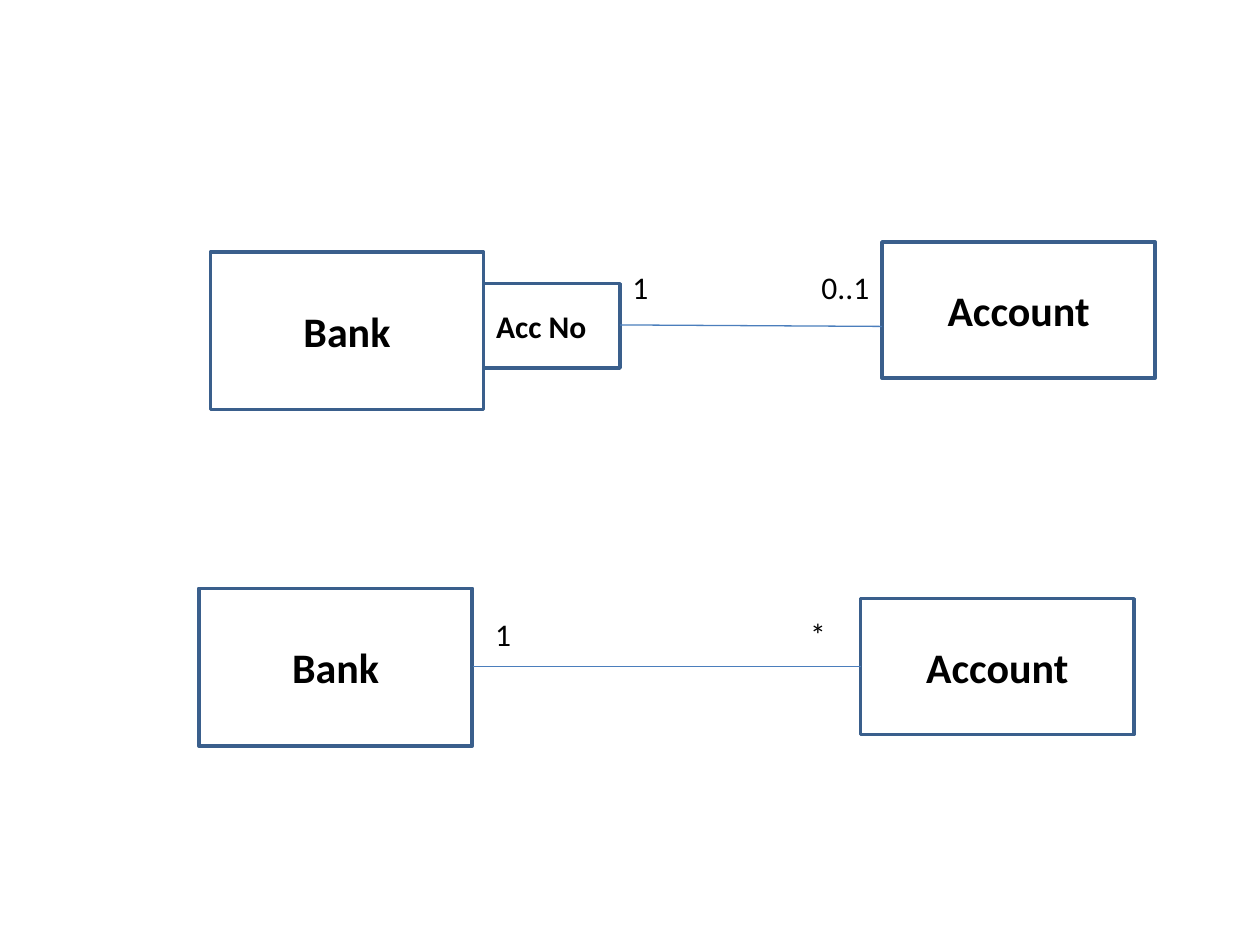
from dataclasses import dataclass

from lxml import etree
from pptx import Presentation
from pptx.dml.color import RGBColor
from pptx.enum.shapes import MSO_CONNECTOR, MSO_SHAPE
from pptx.enum.text import MSO_ANCHOR, MSO_AUTO_SIZE, PP_ALIGN
from pptx.oxml.ns import qn
from pptx.slide import Slide
from pptx.text.text import TextFrame
from pptx.util import Cm, Pt

RECTANGLE = MSO_SHAPE.RECTANGLE
STRAIGHT = MSO_CONNECTOR.STRAIGHT
MIDDLE = MSO_ANCHOR.MIDDLE
TOP = MSO_ANCHOR.TOP
CENTER = PP_ALIGN.CENTER
LEFT = PP_ALIGN.LEFT
FIT_SHAPE = MSO_AUTO_SIZE.SHAPE_TO_FIT_TEXT

COLORS = {
    "background": "FFFFFF",
    "border": "3A5F8C",
    "association": "4B7EBC",
    "text": "000000",
}
FONT_NAME = "Calibri"
BANK_SIZE = (5.51, 3.18)
ACCOUNT_SIZE = (5.51, 2.74)
QUALIFIER_SIZE = (3.18, 1.7)
LABEL_HEIGHT = 1.02


@dataclass
class ClassBox:
    name: str
    left: float
    top: float
    size: tuple[float, float]
    font_size: int = 24


@dataclass
class Association:
    start: tuple[float, float]
    end: tuple[float, float]


@dataclass
class Multiplicity:
    text: str
    left: float
    top: float
    width: float


CLASS_BOXES = [
    ClassBox("Bank", 4.01, 11.86, BANK_SIZE),
    ClassBox("Acc No", 9.32, 5.72, QUALIFIER_SIZE, 18),
    ClassBox("Account", 17.78, 4.88, ACCOUNT_SIZE),
    ClassBox("Bank", 4.24, 5.08, BANK_SIZE),
    ClassBox("Account", 17.35, 12.07, ACCOUNT_SIZE),
]
ASSOCIATIONS = [
    Association((12.5, 6.55), (17.78, 6.58)),
    Association((9.53, 13.44), (17.35, 13.44)),
]
MULTIPLICITIES = [
    Multiplicity("1", 12.5, 5.28, 1.27),
    Multiplicity("0..1", 16.31, 5.28, 1.47),
    Multiplicity("1", 9.73, 12.27, 1.27),
    Multiplicity("*", 16.08, 12.27, 1.07),
]


def color(name: str) -> RGBColor:
    return RGBColor.from_string(COLORS[name])


def add_text(frame: TextFrame, text: str, size: int, bold: bool, alignment: PP_ALIGN) -> None:
    frame.word_wrap = True
    paragraph = frame.paragraphs[0]
    paragraph.alignment = alignment
    run = paragraph.add_run()
    run.text = text
    run.font.name = FONT_NAME
    run.font.size = Pt(size)
    run.font.bold = bold
    run.font.color.rgb = color("text")


def draw_class_box(slide: Slide, box: ClassBox) -> None:
    width, height = box.size
    shape = slide.shapes.add_shape(RECTANGLE, Cm(box.left), Cm(box.top), Cm(width), Cm(height))
    shape.shadow.inherit = False
    shape.fill.solid()
    shape.fill.fore_color.rgb = color("background")
    shape.line.color.rgb = color("border")
    shape.line.width = Pt(2)
    shape.text_frame.vertical_anchor = MIDDLE
    add_text(shape.text_frame, box.name, box.font_size, True, CENTER)


def draw_association(slide: Slide, association: Association) -> None:
    start_x, start_y = association.start
    end_x, end_y = association.end
    connector = slide.shapes.add_connector(
        STRAIGHT, Cm(start_x), Cm(start_y), Cm(end_x), Cm(end_y)
    )
    connector.line.color.rgb = color("association")
    connector.line.width = Pt(0.75)
    etree.SubElement(connector._element.spPr, qn("a:effectLst"))


def draw_multiplicity(slide: Slide, label: Multiplicity) -> None:
    text_box = slide.shapes.add_textbox(
        Cm(label.left), Cm(label.top), Cm(label.width), Cm(LABEL_HEIGHT)
    )
    text_box.text_frame.auto_size = FIT_SHAPE
    text_box.text_frame.vertical_anchor = TOP
    add_text(text_box.text_frame, label.text, 18, False, LEFT)


def main() -> None:
    presentation = Presentation()
    presentation.slide_width = Cm(25.4)
    presentation.slide_height = Cm(19.05)
    slide = presentation.slides.add_slide(presentation.slide_layouts[6])
    slide.background.fill.solid()
    slide.background.fill.fore_color.rgb = color("background")
    for box in CLASS_BOXES:
        draw_class_box(slide, box)
    for association in ASSOCIATIONS:
        draw_association(slide, association)
    for label in MULTIPLICITIES:
        draw_multiplicity(slide, label)
    presentation.save("out.pptx")


if __name__ == "__main__":
    main()
